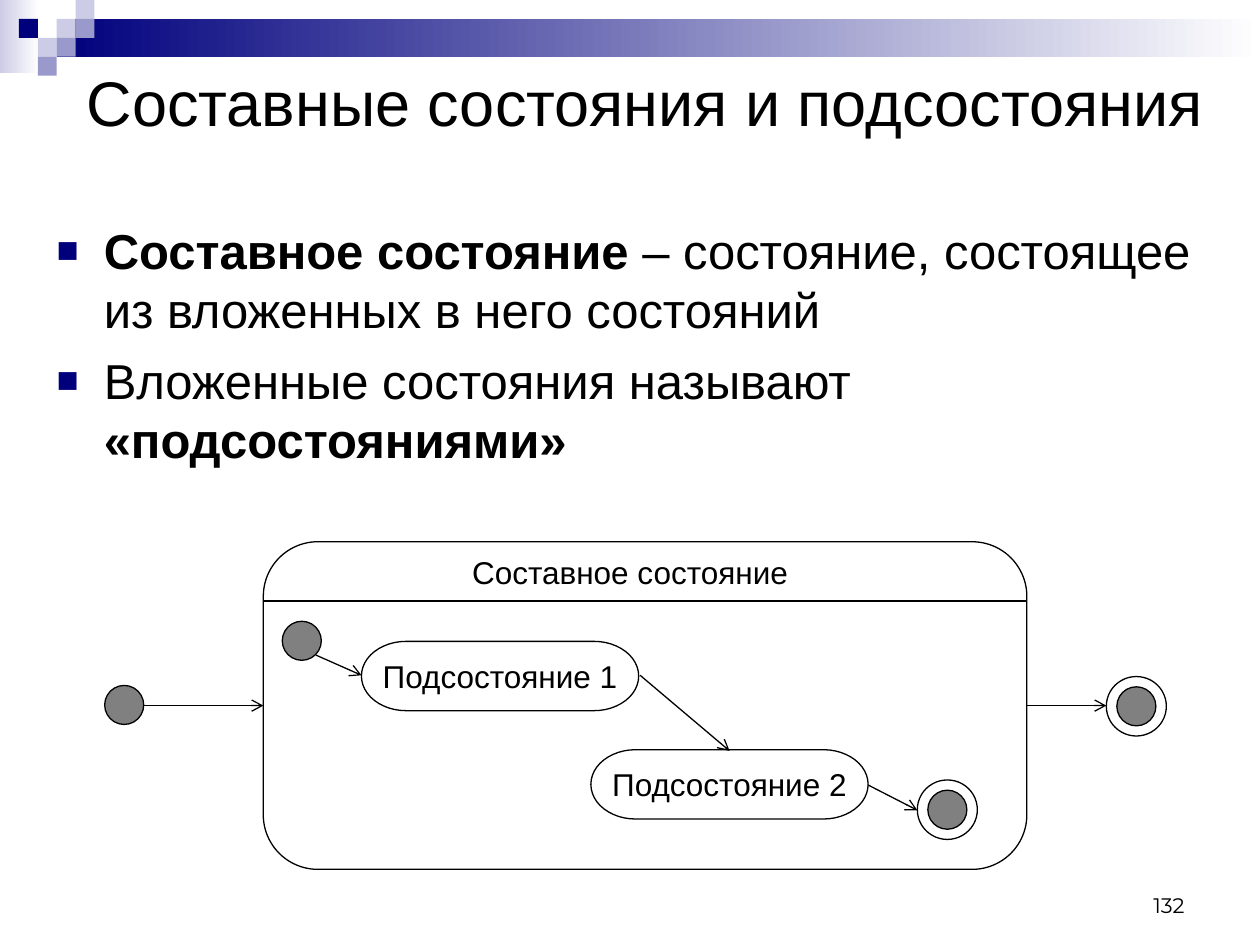
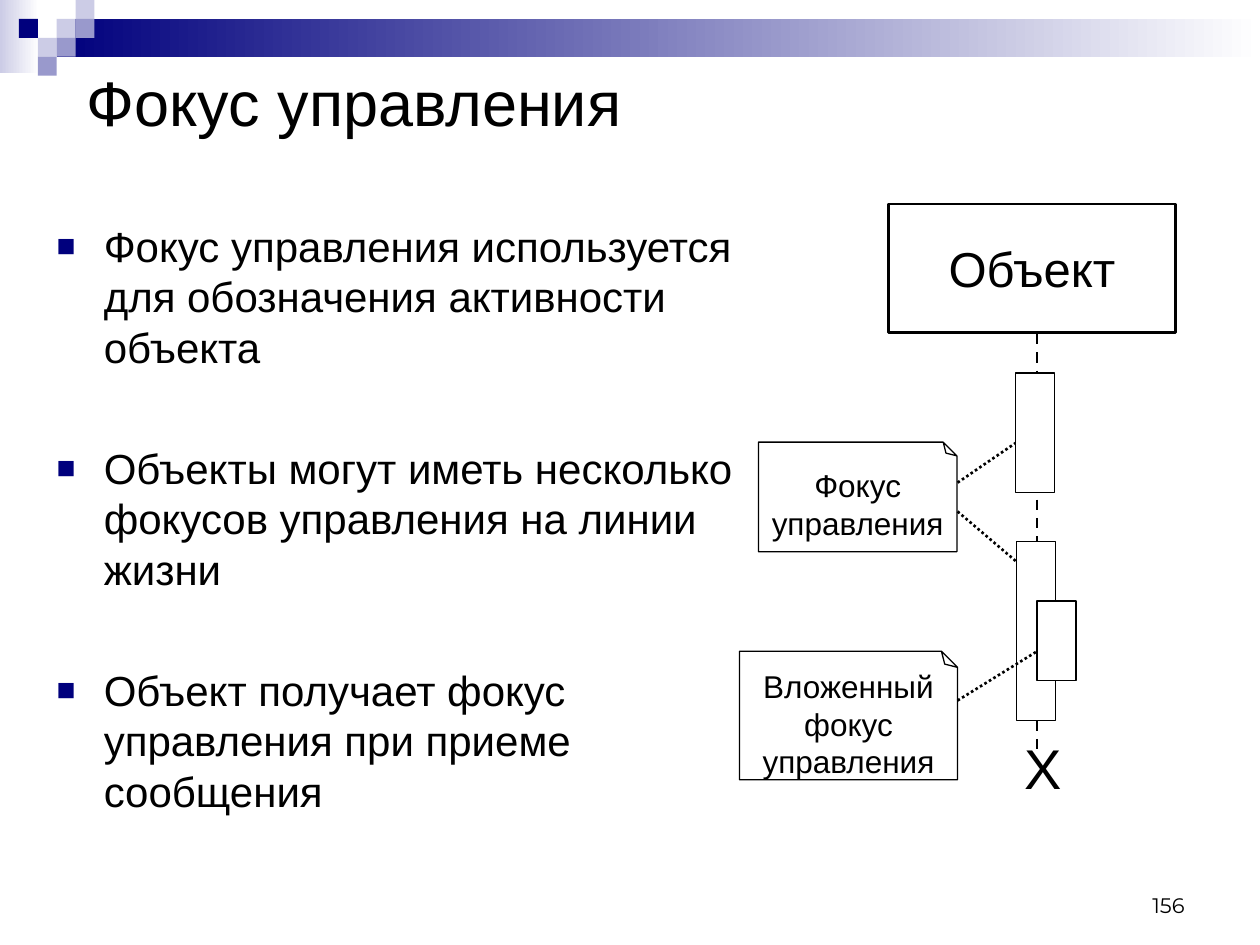
"""Build two UML lecture slides: composite states and focus of control."""
from dataclasses import dataclass
from typing import Any, Optional, Union

from lxml import etree
from pptx import Presentation
from pptx import util as u
from pptx.dml import color
from pptx.enum import dml, shapes, text
from pptx.oxml import ns

BLACK, WHITE, GREY = "000000", "FFFFFF", "808080"
NAVY, VIOLET, LAVENDER = "00007D", "9999CC", "CCCCE6"
CELL = 10.8
DOT = 22.3
KIND = shapes.MSO_SHAPE
ALIGN = text.PP_ALIGN
ANCHOR = text.MSO_ANCHOR
MOSAIC = [(1, 1, LAVENDER), (2, 0, LAVENDER), (2, 1, VIOLET), (0, 2, LAVENDER),
          (-1, 1, NAVY), (1, 2, VIOLET), (0, 3, VIOLET)]


@dataclass(frozen=True)
class Run:
    """A stretch of text."""
    words: str
    bold: bool = False


@dataclass(frozen=True)
class Style:
    """The look of a text frame."""
    size: float = 18
    font: str = "Arial"
    align: Any = ALIGN.CENTER
    anchor: Any = ANCHOR.MIDDLE
    wrap: bool = False
    bullet: bool = False
    gap: float = 0


@dataclass
class Node:
    """An outlined preset shape."""
    kind: Any
    x: float
    y: float
    w: float
    h: float
    fill: Optional[str] = None
    weight: float = 0.75
    label: tuple[str, ...] = ()
    style: Style = Style()
    corner: Optional[int] = None
    flipped: bool = False


@dataclass
class Link:
    """A straight line."""
    x1: float
    y1: float
    x2: float
    y2: float
    weight: float = 0.75
    dash: Any = None
    arrow: bool = False


@dataclass
class Caption:
    """A text box."""
    x: float
    y: float
    w: float
    h: float
    paragraphs: list[list[Run]]
    style: Style = Style()


Part = Union[Node, Link, Caption]


def rgb(code: str) -> color.RGBColor:
    """Turn a hex string into a colour."""
    return color.RGBColor.from_string(code)


def points(*lengths: float) -> list[u.Length]:
    """Convert numbers to point lengths."""
    return [u.Pt(length) for length in lengths]


def assign(target: Any, values: dict[str, Any]) -> None:
    """Set each named attribute on the target."""
    for name, value in values.items():
        setattr(target, name, value)


def add_bullet(paragraph: Any) -> None:
    """Give a paragraph a navy square bullet with a hanging indent."""
    props = paragraph._p.get_or_add_pPr()
    for name, indent in {"marL": 27, "indent": -27}.items():
        props.set(name, str(u.Pt(indent)))
    tint = etree.SubElement(props, ns.qn("a:buClr"))
    etree.SubElement(tint, ns.qn("a:srgbClr"), val=NAVY)
    etree.SubElement(props, ns.qn("a:buSzPct"), val="75000")
    etree.SubElement(props, ns.qn("a:buFont"), typeface="Arial")
    etree.SubElement(props, ns.qn("a:buChar"), char="■")


def write(frame: Any, paragraphs: list[list[Run]], style: Style) -> None:
    """Fill a text frame with styled paragraphs."""
    side, edge = points(7.2, 3.6)
    assign(frame, {"word_wrap": style.wrap, "vertical_anchor": style.anchor,
                   "margin_left": side, "margin_right": side,
                   "margin_top": edge, "margin_bottom": edge})
    for index, runs in enumerate(paragraphs):
        paragraph = frame.add_paragraph() if index else frame.paragraphs[0]
        if style.bullet:
            add_bullet(paragraph)
        assign(paragraph, {"alignment": style.align,
                           "space_before": u.Pt(style.gap if index else 0)})
        for run in runs:
            piece = paragraph.add_run()
            piece.text = run.words
            assign(piece.font, {"size": u.Pt(style.size), "name": style.font,
                                "bold": run.bold})
            piece.font.color.rgb = rgb(BLACK)


def draw_node(slide: Any, node: Node) -> None:
    """Draw an outlined preset shape with an optional label."""
    shape = slide.shapes.add_shape(node.kind, *points(node.x, node.y, node.w, node.h))
    shape.shadow.inherit = False
    if node.fill:
        shape.fill.solid()
        shape.fill.fore_color.rgb = rgb(node.fill)
    else:
        shape.fill.background()
    shape.line.color.rgb = rgb(BLACK)
    shape.line.width = u.Pt(node.weight)
    if node.corner is not None:
        guides = shape._element.spPr.find(ns.qn("a:prstGeom")).find(ns.qn("a:avLst"))
        etree.SubElement(guides, ns.qn("a:gd"), name="adj", fmla=f"val {node.corner}")
    if node.flipped:
        shape._element.spPr.find(ns.qn("a:xfrm")).set("flipV", "1")
        shape.text_frame._txBody.bodyPr.set("rot", "10800000")
    if node.label:
        write(shape.text_frame, [[Run(words)] for words in node.label], node.style)


def draw_link(slide: Any, link: Link) -> None:
    """Draw a straight line with an optional dash and arrowhead."""
    line = slide.shapes.add_connector(
        shapes.MSO_CONNECTOR.STRAIGHT, *points(link.x1, link.y1, link.x2, link.y2))
    line.line.color.rgb = rgb(BLACK)
    line.line.width = u.Pt(link.weight)
    if link.dash:
        line.line.dash_style = link.dash
    if link.arrow:
        etree.SubElement(line.line._get_or_add_ln(), ns.qn("a:tailEnd"), type="arrow")
    etree.SubElement(line._element.spPr, ns.qn("a:effectLst"))


def draw_caption(slide: Any, caption: Caption) -> None:
    """Draw a text box."""
    box = slide.shapes.add_textbox(*points(caption.x, caption.y, caption.w, caption.h))
    write(box.text_frame, caption.paragraphs, caption.style)


def draw_tile(slide: Any, x: float, y: float, w: float, h: float,
              tint: str, fading: bool = False) -> None:
    """Draw a borderless rectangle, plain or fading to white on the right."""
    tile = slide.shapes.add_shape(KIND.RECTANGLE, *points(x, y, w, h))
    tile.shadow.inherit = False
    tile.line.fill.background()
    if fading:
        tile.fill.gradient()
        tile.fill.gradient_angle = 180
        for stop, code in zip(tile.fill.gradient_stops, (WHITE, tint)):
            stop.color.rgb = rgb(code)
    else:
        tile.fill.solid()
        tile.fill.fore_color.rgb = rgb(tint)


DRAW = {Node: draw_node, Link: draw_link, Caption: draw_caption}


def add_slide(deck: Any, title: str, number: int, parts: list[Part]) -> None:
    """Add a slide with the shared header, title, parts and page number."""
    slide = deck.slides.add_slide(deck.slide_layouts[6])
    draw_tile(slide, 0, 0, 22.3, 41.8, LAVENDER, fading=True)
    draw_tile(slide, 32.4, CELL, 687.6, 2 * CELL, NAVY, fading=True)
    for column, row, tint in MOSAIC:
        draw_tile(slide, (column + 2) * CELL, row * CELL, CELL, CELL, tint)
    heading = Caption(42.5, 31.7, 658, 52.6, [[Run(title)]],
                      Style(36, align=ALIGN.LEFT, wrap=True))
    page = Caption(516.2, 491.8, 167.8, 36, [[Run(str(number))]],
                   Style(12, "Montserrat", ALIGN.RIGHT, ANCHOR.BOTTOM, True))
    for part in [heading, *parts, page]:
        DRAW[type(part)](slide, part)


def bullets(width: float, size: float, gap: float, items: list[list[Run]]) -> Caption:
    """Describe the bulleted body text."""
    return Caption(25.2, 122.4, width, 378.7, items,
                   Style(size, align=ALIGN.LEFT, anchor=ANCHOR.TOP, wrap=True,
                         bullet=True, gap=gap))


def start_state(x: float, y: float) -> Node:
    """Describe a filled start dot."""
    return Node(KIND.OVAL, x, y, DOT, DOT, GREY)


def final_state(x: float, y: float) -> list[Node]:
    """Describe a ringed final dot."""
    return [Node(KIND.OVAL, x, y, 34.3, 34), start_state(x + 6, y + 5.85)]


def substate(x: float, y: float, name: str) -> Node:
    """Describe a labelled substate."""
    return Node(KIND.FLOWCHART_TERMINATOR, x, y, 158.4, 39.6, label=(name,))


def transition(x1: float, y1: float, x2: float, y2: float) -> Link:
    """Describe an arrow between states."""
    return Link(x1, y1, x2, y2, arrow=True)


def note(x: float, y: float, w: float, h: float, *label: str) -> Node:
    """Describe a note with its top right corner folded."""
    return Node(KIND.FOLDED_CORNER, x, y, w, h, label=label, corner=12500, flipped=True)


def focus(x: float, y: float, h: float) -> Node:
    """Describe a focus bar on the lifeline."""
    return Node(KIND.RECTANGLE, x, y, DOT, h, WHITE)


def pointer(y1: float, x2: float, y2: float) -> Link:
    """Describe a dotted line from a note to a focus bar."""
    return Link(547.2, y1, x2, y2, 1.5, dml.MSO_LINE.ROUND_DOT)


def composite_states() -> list[Part]:
    """List the parts of the composite state slide."""
    return [
        bullets(668.9, 28, 7, [
            [Run("Составное состояние ", True),
             Run("– состояние, состоящее из вложенных в него состояний")],
            [Run("Вложенные состояния называют "), Run("«подсостояниями»", True)]]),
        start_state(59.8, 391.7),
        *final_state(632.2, 386.6),
        Node(KIND.ROUNDED_RECTANGLE, 150.5, 309.6, 436.3, 187.2),
        Link(150.5, 343.4, 586.8, 343.4),
        Caption(257.8, 315.4, 204.5, 22.3, [[Run("Составное состояние")]]),
        start_state(161.3, 355),
        *final_state(524.2, 445.7),
        substate(206.6, 366.5, "Подсостояние 1"),
        substate(337.7, 428.4, "Подсостояние 2"),
        transition(82.1, 403.2, 150.5, 403.2),
        transition(180.7, 374.4, 206.6, 385.9),
        transition(365.8, 385.9, 416.9, 429.1),
        transition(496.1, 448.6, 524.2, 463),
        transition(586.8, 403.2, 632.2, 403.2)]


def control_focus() -> list[Part]:
    """List the parts of the focus of control slide."""
    claims = ["Фокус управления используется для обозначения активности объекта",
              "Объекты могут иметь несколько фокусов управления на линии жизни",
              "Объект получает фокус управления при приеме сообщения"]
    return [
        bullets(425.5, 24, 40.5, [[Run(claim)] for claim in claims]),
        Node(KIND.RECTANGLE, 507.6, 116.6, 164.2, 73.4, weight=1.5,
             label=("Объект",), style=Style(28)),
        Link(592.6, 190.8, 592.6, 428.4, 1.5, dml.MSO_LINE.DASH),
        note(433.4, 252.7, 113.4, 62.6, "Фокус", "управления"),
        Caption(578.2, 424.1, 28.1, 28.1, [[Run("X")]], Style(32)),
        pointer(275.8, 581, 252.7),
        focus(580.3, 213.1, 68.4),
        note(422.6, 372.2, 124.6, 73.4, "Вложенный", "фокус", "управления"),
        focus(581, 309.6, 102.2),
        focus(592.6, 343.4, 45.4),
        pointer(292.3, 581, 321.1),
        pointer(400.3, 592.6, 372.2)]


def main() -> None:
    """Build and save the deck."""
    deck = Presentation()
    assign(deck, {"slide_width": u.Pt(720), "slide_height": u.Pt(540)})
    add_slide(deck, "Составные состояния и подсостояния", 132, composite_states())
    add_slide(deck, "Фокус управления", 156, control_focus())
    deck.save("out.pptx")


if __name__ == "__main__":
    main()
